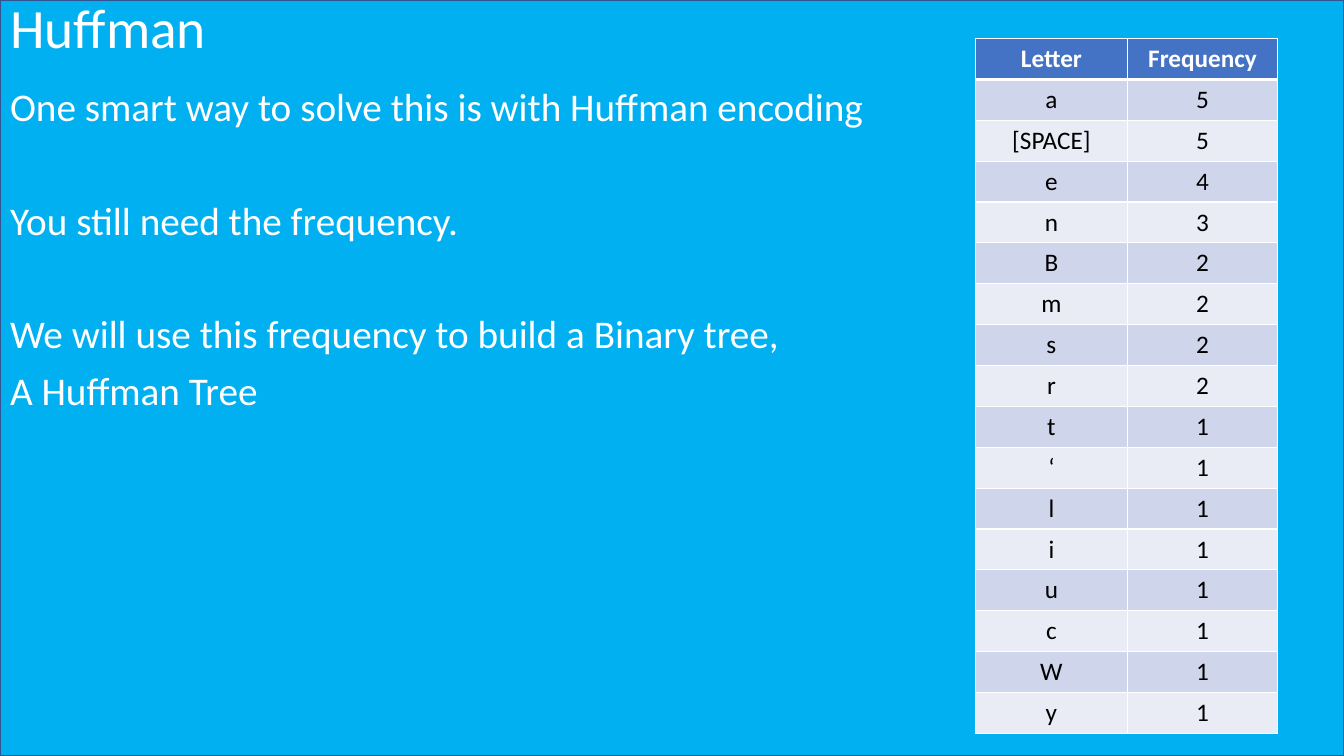
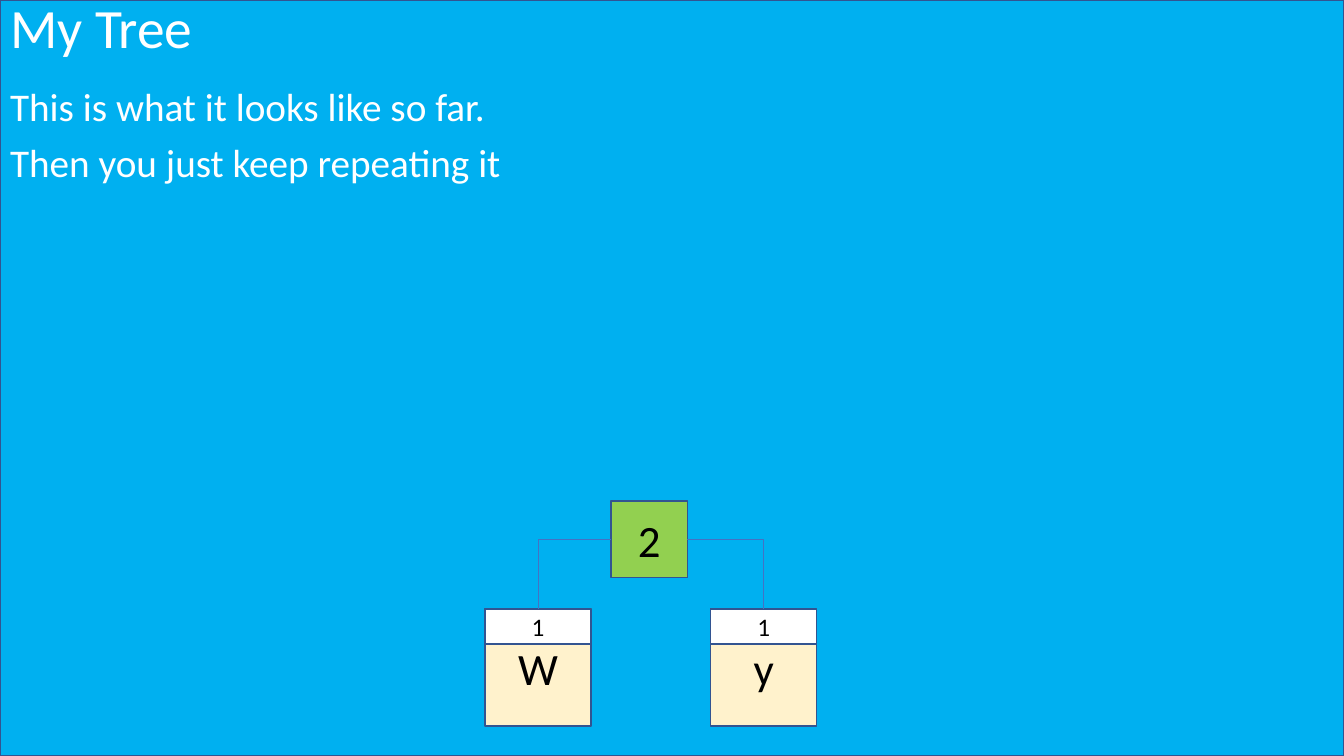
from pptx import Presentation
from pptx.dml.color import RGBColor
from pptx.enum import shapes, text
from pptx.oxml import parse_xml
from pptx.oxml.ns import nsdecls, qn
from pptx.util import Pt

FONT = "Calibri"
COLORS = {
    "sky": "00B0F0", "edge": "325491", "white": "FFFFFF", "black": "000000",
    "header": "4472C4", "band": "CFD5EA", "pale": "E9EBF5",
    "leaf": "FFF2CC", "root": "92D050",
}
GAP, WIDE_GAP = 10, 51

# Body lines are (text, space before)
HUFFMAN = ("Huffman", [
    ("One smart way to solve this is with Huffman encoding", 0),
    ("You still need the frequency.", WIDE_GAP),
    ("We will use this frequency to build a Binary tree,", WIDE_GAP),
    ("A Huffman Tree", GAP),
])
MY_TREE = ("My Tree", [
    ("This is what it looks like so far.", 0),
    ("Then you just keep repeating it", GAP),
])
FREQUENCIES = [
    ("Letter", "Frequency"),
    ("a", 5), ("[SPACE]", 5), ("e", 4), ("n", 3),
    ("B", 2), ("m", 2), ("s", 2), ("r", 2),
    ("t", 1), ("‘", 1), ("l", 1), ("i", 1),
    ("u", 1), ("c", 1), ("W", 1), ("y", 1),
]
COLUMN_WIDTHS = (108.5, 107.5)
ROW_HEIGHT = 29.2
# Leaves are (letter, count, left, connection site on the root)
LEAVES = [("W", 1, 346.5, 1), ("y", 1, 507.75, 3)]

SLIDE_W, SLIDE_H = 960, 540
BODY_TOP = 59


def rgb(name):
    return RGBColor.from_string(COLORS[name])


def add_run(p, content, size, color, bold=False):
    r = p.add_run()
    r.text = str(content)
    r.font.name, r.font.size, r.font.bold = FONT, Pt(size), bold
    r.font.color.rgb = rgb(color)


def add_box(s, left, top, width, height, fill, label=None, size=32):
    box = s.shapes.add_shape(shapes.MSO_SHAPE.RECTANGLE,
                             Pt(left), Pt(top), Pt(width), Pt(height))
    box.shadow.inherit = False
    box.fill.solid()
    box.fill.fore_color.rgb = rgb(fill)
    box.line.color.rgb = rgb("edge")
    box.line.width = Pt(1)
    if label is not None:
        p = box.text_frame.paragraphs[0]
        p.alignment = text.PP_ALIGN.CENTER
        add_run(p, label, size, "black")
    return box


def place(sp, top, height):
    sp.left, sp.top, sp.width, sp.height = Pt(0), Pt(top), Pt(SLIDE_W), Pt(height)


def add_slide(prs, layout, title, lines):
    s = prs.slides.add_slide(layout)
    for sp, anchor in ((s.shapes.title, text.MSO_ANCHOR.MIDDLE),
                       (s.placeholders[1], text.MSO_ANCHOR.TOP)):
        tf = sp.text_frame
        tf.auto_size = text.MSO_AUTO_SIZE.NONE
        tf.vertical_anchor = anchor
    p = s.shapes.title.text_frame.paragraphs[0]
    p.alignment, p.line_spacing = text.PP_ALIGN.LEFT, 0.9
    add_run(p, title, 39.6, "white")

    tf = s.placeholders[1].text_frame
    for i, (line, gap) in enumerate(lines):
        p = tf.add_paragraph() if i else tf.paragraphs[0]
        pPr = p._p.get_or_add_pPr()
        pPr.set("marL", "0")
        pPr.set("indent", "0")
        pPr.append(parse_xml(f"<a:buNone {nsdecls('a')}/>"))
        p.line_spacing, p.space_before = 0.9, Pt(gap)
        add_run(p, line, 28, "white")
    return s


def set_borders(cell, bottom):
    """Draw white 1 pt cell borders, with the bottom one as wide as given."""
    tcPr = cell._tc.get_or_add_tcPr()
    for i, (side, width) in enumerate((("L", 1), ("R", 1), ("T", 1), ("B", bottom))):
        tcPr.insert(i, parse_xml(
            f'<a:ln{side} {nsdecls("a")} w="{Pt(width)}"><a:solidFill>'
            f'<a:srgbClr val="{COLORS["white"]}"/></a:solidFill></a:ln{side}>'))


def add_frequency_table(s):
    table = s.shapes.add_table(
        len(FREQUENCIES), len(COLUMN_WIDTHS), Pt(696.75), Pt(27.5),
        Pt(sum(COLUMN_WIDTHS)), Pt(ROW_HEIGHT * len(FREQUENCIES))).table
    for column, width in zip(table.columns, COLUMN_WIDTHS):
        column.width = Pt(width)
    for i, values in enumerate(FREQUENCIES):
        table.rows[i].height = Pt(ROW_HEIGHT)
        is_header = i == 0
        fill = "header" if is_header else ("pale", "band")[i % 2]
        for j, value in enumerate(values):
            cell = table.cell(i, j)
            cell.fill.solid()
            cell.fill.fore_color.rgb = rgb(fill)
            set_borders(cell, 3 if is_header else 1)
            p = cell.text_frame.paragraphs[0]
            p.alignment = text.PP_ALIGN.CENTER
            add_run(p, value, 18, "white" if is_header else "black", is_header)


def add_branch(s, root, site, leaf):
    branch = s.shapes.add_connector(shapes.MSO_CONNECTOR.ELBOW, 0, 0, 0, 0)
    branch.begin_connect(root, site)
    branch.end_connect(leaf, 0)
    branch.line.color.rgb = rgb("header")
    branch.line.width = Pt(0.5)
    spPr = branch._element.spPr
    spPr.find(qn("a:prstGeom")).set("prst", "bentConnector2")
    spPr.append(parse_xml(f"<a:effectLst {nsdecls('a')}/>"))


def add_tree(s):
    top, width = 435, 75.75
    counts = []
    for letter, count, left, site in LEAVES:
        add_box(s, left, top, width, 83.5, "leaf", letter)
        counts.append((site, add_box(s, left, top, width, 25, "white", count, 18)))
    total = sum(leaf[1] for leaf in LEAVES)
    root = add_box(s, 436.5, 357.75, 54.5, 54.75, "root", total)
    for site, box in counts:
        add_branch(s, root, site, box)


def main():
    prs = Presentation()
    prs.slide_width, prs.slide_height = Pt(SLIDE_W), Pt(SLIDE_H)
    layout = prs.slide_layouts[1]
    place(layout.placeholders[0], 0, 43.2)
    place(layout.placeholders[1], BODY_TOP, SLIDE_H - BODY_TOP)

    huffman = add_slide(prs, layout, *HUFFMAN)
    # Layouts offer no add_shape, so the backdrop is made on a slide and moved
    backdrop = add_box(huffman, 0, 0, SLIDE_W, SLIDE_H, "sky")
    layout.shapes._spTree.insert(2, backdrop._element)
    add_frequency_table(huffman)

    add_tree(add_slide(prs, layout, *MY_TREE))
    prs.save("out.pptx")


if __name__ == "__main__":
    main()
